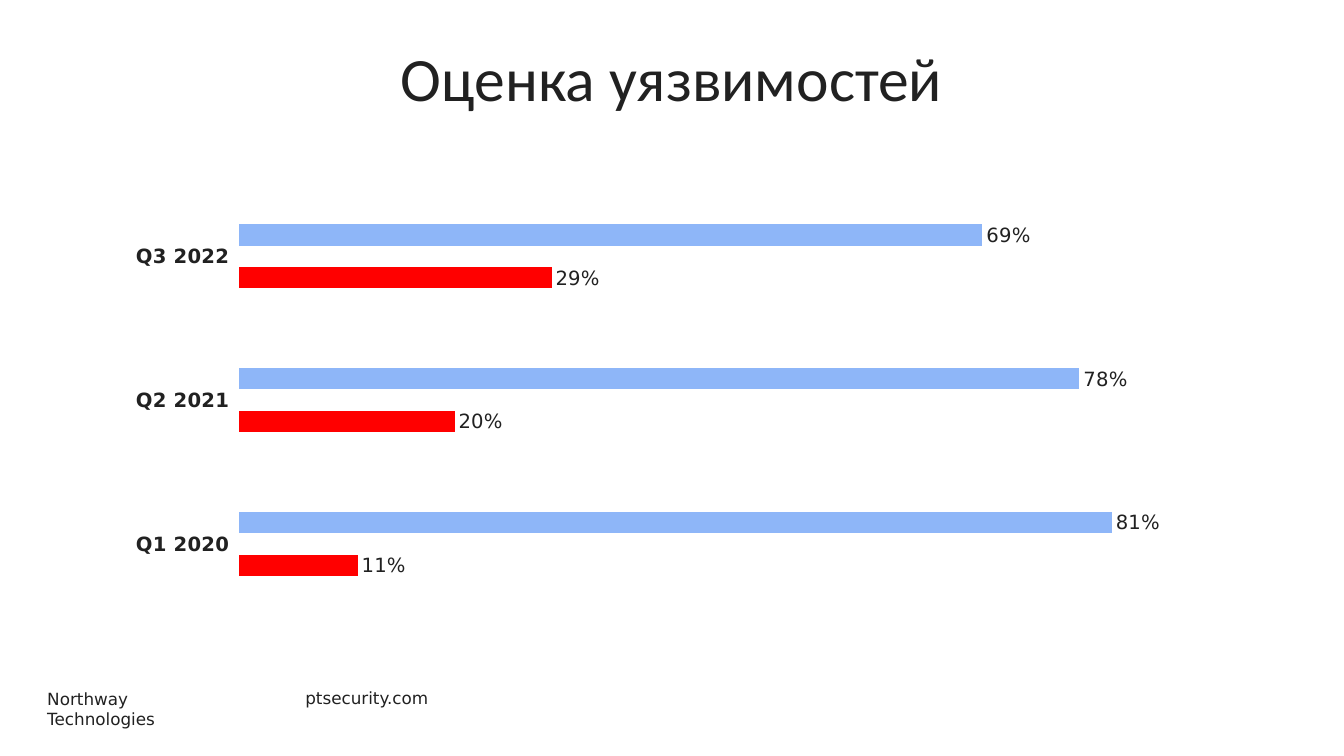
from lxml import etree
from pptx import Presentation
from pptx.chart.data import CategoryChartData
from pptx.dml.color import RGBColor
from pptx.enum.chart import XL_CHART_TYPE, XL_LABEL_POSITION
from pptx.enum.text import MSO_ANCHOR, MSO_AUTO_SIZE, PP_ALIGN
from pptx.oxml.ns import qn
from pptx.util import Inches, Pt

BAR_CLUSTERED = XL_CHART_TYPE.BAR_CLUSTERED
OUTSIDE_END = XL_LABEL_POSITION.OUTSIDE_END
MIDDLE = MSO_ANCHOR.MIDDLE
NO_AUTOFIT = MSO_AUTO_SIZE.NONE
CENTER = PP_ALIGN.CENTER

TITLE = "Оценка уязвимостей"
TITLE_BOX = (2.61, 0.34, 8.11, 0.84)
FOOTERS = [
    ("Northway Technologies", (0.37, 6.78, 1.98, 0.3)),
    ("ptsecurity.com", (2.93, 6.77, 1.44, 0.3)),
]
QUARTERS = ["Q1 2020", "Q2 2021", "Q3 2022"]
SERIES = [
    ("Series 1", (0.11, 0.2, 0.29), "FF0000"),
    ("Series 2", (0.81, 0.78, 0.69), "8EB6F8"),
]
CHART_BOX = (1.12, 1.74, 11.08, 4.46)
PLOT_SHARES = {"x": 0.113, "y": 0.02, "w": 0.868, "h": 0.96}
AXIS_MAX = 0.9
INK = "212121"
BODY_FONT, TITLE_FONT = "DejaVu Sans", "Calibri"


def inches(box):
    return [Inches(length) for length in box]


def style(font, size, name=BODY_FONT, bold=False):
    font.size = Pt(size)
    font.name = name
    font.bold = bold
    font.color.rgb = RGBColor.from_string(INK)


def place_plot(chart):
    """Fix the inner plot area as shares of the chart's size."""
    plot_area = chart._chartSpace.find(".//" + qn("c:plotArea"))
    for automatic in plot_area.findall(qn("c:layout")):
        plot_area.remove(automatic)
    layout = etree.Element(qn("c:layout"))
    manual = etree.SubElement(layout, qn("c:manualLayout"))
    settings = {"layoutTarget": "inner", "xMode": "edge", "yMode": "edge", **PLOT_SHARES}
    for tag, value in settings.items():
        etree.SubElement(manual, qn("c:" + tag)).set("val", str(value))
    plot_area.insert(0, layout)


def add_title(slide):
    title = slide.shapes.title
    title.left, title.top, title.width, title.height = inches(TITLE_BOX)
    frame = title.text_frame
    frame.text = TITLE
    frame.auto_size = NO_AUTOFIT
    frame.vertical_anchor = MIDDLE
    frame.paragraphs[0].alignment = CENTER
    style(frame.paragraphs[0].runs[0].font, 44, TITLE_FONT)


def add_footer(slide, text, box):
    frame = slide.shapes.add_textbox(*inches(box)).text_frame
    frame.word_wrap = False
    frame.text = text
    style(frame.paragraphs[0].runs[0].font, 12)


def add_bars(slide):
    data = CategoryChartData(number_format="0%")
    data.categories = QUARTERS
    for name, values, _ in SERIES:
        data.add_series(name, values)
    chart = slide.shapes.add_chart(BAR_CLUSTERED, *inches(CHART_BOX), data).chart
    chart.has_legend = chart.has_title = False
    style(chart.font, 10)
    place_plot(chart)

    quarters = chart.category_axis
    quarters.format.line.fill.background()
    style(quarters.tick_labels.font, 14, bold=True)
    shares = chart.value_axis
    shares.minimum_scale, shares.maximum_scale = 0, AXIS_MAX
    shares.has_major_gridlines = False
    shares.visible = False

    plot = chart.plots[0]
    plot.gap_width, plot.overlap = 370, -100
    plot.vary_by_categories = False
    for bars, (_, _, color) in zip(plot.series, SERIES):
        bars.format.fill.solid()
        bars.format.fill.fore_color.rgb = RGBColor.from_string(color)
        labels = bars.data_labels
        labels.show_value = True
        labels.position = OUTSIDE_END
        labels.number_format = "0%"
        labels.number_format_is_linked = False
        style(labels.font, 14)


def main():
    deck = Presentation()
    deck.slide_width, deck.slide_height = Inches(13.33), Inches(7.5)
    slide = deck.slides.add_slide(deck.slide_layouts[5])
    add_title(slide)
    add_bars(slide)
    for text, box in FOOTERS:
        add_footer(slide, text, box)
    deck.save("out.pptx")


if __name__ == "__main__":
    main()
